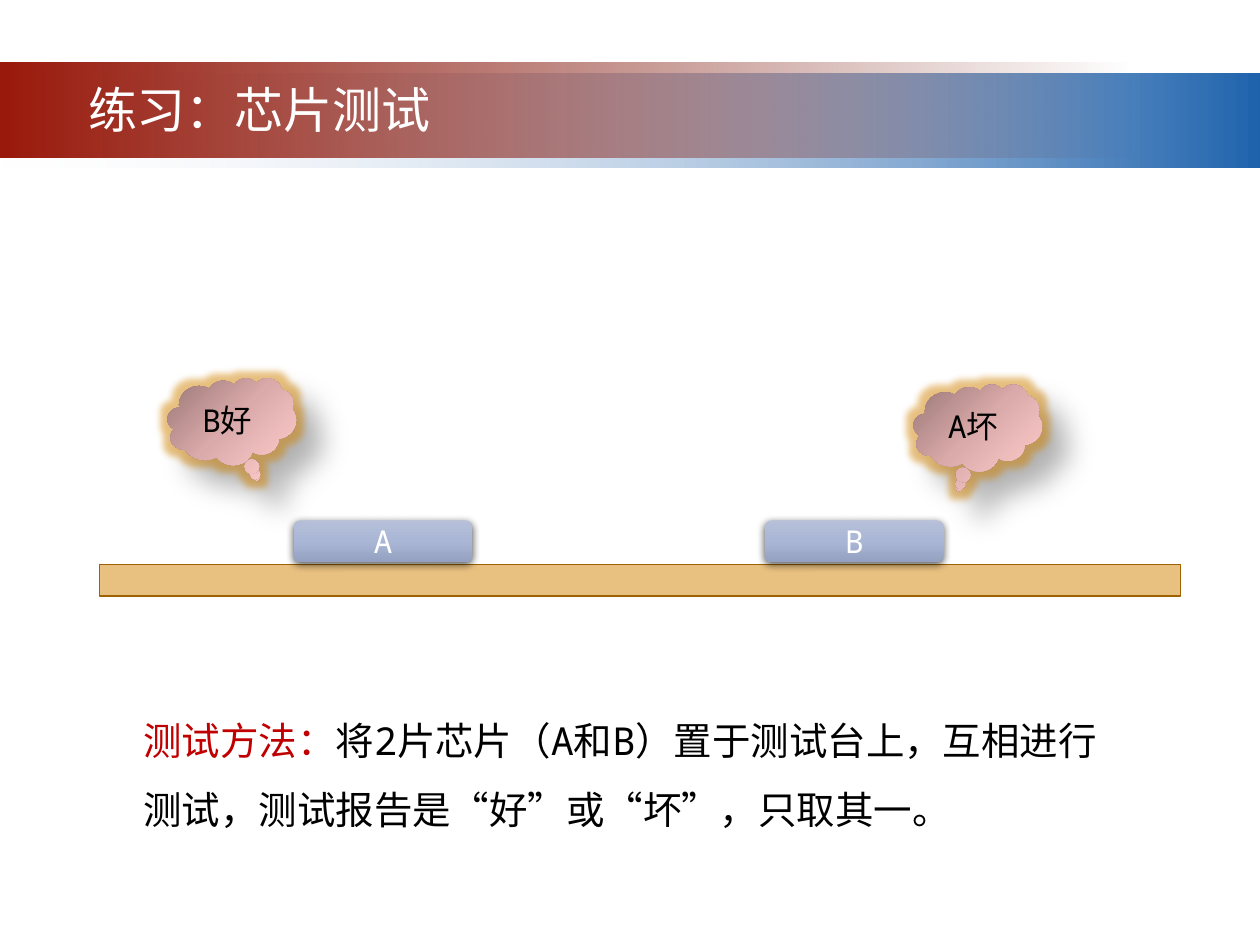
import pptx
import pptx.util
import pptx.oxml
import pptx.oxml.ns
import pptx.dml.color
import pptx.enum.shapes
import pptx.enum.text
from lxml import etree

Inches = pptx.util.Inches
Pt = pptx.util.Pt
RGB = pptx.dml.color.RGBColor.from_string
qn = pptx.oxml.ns.qn
SHAPE = pptx.enum.shapes.MSO_SHAPE

COLORS = {"white": "FFFFFF", "black": "000000", "red": "C00000",
          "bench": "D28302", "bench_line": "9E6201"}
BLUE_BAND = [(0, "F1F2F7", 0), (100, "1F63AD", 100)]
RED_BAND = [(0, "99190B", 100), (100, "6D1208", 0)]
CHIP = [(0, "B6C0D9", 100), (50, "A9B6D5", 100), (100, "94A1C0", 100)]
CLOUD = [(0, "997777", 100), (50, "DAA9A9", 100), (100, "FFCCCC", 100)]
CJK, MONO = "Noto Sans CJK SC", "Noto Sans Mono"


def add_gradient_shape(preset, box, stops, angle, glow=None, shadow=None):
    """Stops are (position, colour, opacity); shadow is (opacity, blur, distance, direction)."""
    shape = slide.shapes.add_shape(preset, *map(Inches, box))
    shape.shadow.inherit = False
    shape.line.fill.background()
    shape.fill.gradient()
    props = shape.fill._xPr

    def add_color(parent, color, opacity):
        node = etree.SubElement(parent, qn("a:srgbClr"), val=color)
        etree.SubElement(node, qn("a:alpha"), val=str(opacity * 1000))

    stop_list = props.find(".//" + qn("a:gsLst"))
    for old in list(stop_list):
        stop_list.remove(old)
    for position, color, opacity in stops:
        add_color(etree.SubElement(stop_list, qn("a:gs"), pos=str(position * 1000)), color, opacity)
    direction = props.find(".//" + qn("a:lin"))
    direction.set("ang", str(angle * 60000))
    direction.set("scaled", "0")

    effects = props.find(qn("a:effectLst"))
    if glow:
        radius, color, opacity = glow
        add_color(etree.SubElement(effects, qn("a:glow"), rad=str(Pt(radius))), color, opacity)
    if shadow:
        opacity, blur, distance, turn = shadow
        node = etree.SubElement(effects, qn("a:outerShdw"), blurRad=str(Pt(blur)),
                                dist=str(Pt(distance)), dir=str(turn * 60000),
                                algn="ctr", rotWithShape="0")
        add_color(node, COLORS["black"], opacity)
    return shape


def format_run(run, size, color, font=MONO):
    run.font.size = Pt(size)
    run.font.name = font
    run.font.color.rgb = RGB(COLORS[color])
    latin = run.font._element.find(qn("a:latin"))
    east_asian = etree.Element(qn("a:ea"), typeface=CJK)
    latin.addnext(east_asian)


prs = pptx.Presentation()
prs.slide_width, prs.slide_height = Inches(10), Inches(7.5)
slide = prs.slides.add_slide(prs.slide_layouts[6])

# Title band
add_gradient_shape(SHAPE.RECTANGLE, (0, 0.58, 10, 0.75), BLUE_BAND, 0)
add_gradient_shape(SHAPE.RECTANGLE, (0, 0.5, 9, 0.75), RED_BAND, 0)
title = slide.shapes.add_textbox(Inches(0.6), Inches(0.58), Inches(6.88), Inches(0.57)).text_frame
title.word_wrap = True
title.text = "练习：芯片测试"
format_run(title.paragraphs[0].runs[0], 28, "white", CJK)

# Test bench
bench = slide.shapes.add_shape(SHAPE.RECTANGLE, Inches(0.79), Inches(4.48), Inches(8.58), Inches(0.25))
bench.shadow.inherit = False
bench.fill.solid()
bench.fill.fore_color.rgb = RGB(COLORS["bench"])
bench_color = bench.fill._xPr.find(qn("a:solidFill")).find(qn("a:srgbClr"))
etree.SubElement(bench_color, qn("a:alpha"), val="50000")
bench.line.color.rgb = RGB(COLORS["bench_line"])
bench.line.width = Pt(0.75)

# Chips, then the report each one gives about the other
labelled = []
for label, left in (("A", 2.33), ("B", 6.07)):
    chip = add_gradient_shape(SHAPE.ROUNDED_RECTANGLE, (left, 4.13, 1.42, 0.33), CHIP, 90,
                              shadow=(63, 4.5, 1.5, 90))
    labelled.append((chip, label, "white"))

for report, left, top, tail in (("B好", 1.33, 3, (0.195, 0.65)),
                                ("A坏", 7.25, 3.05, (-0.146, 0.701))):
    cloud = add_gradient_shape(SHAPE.CLOUD_CALLOUT, (left, top, 1.02, 0.69), CLOUD, 45,
                               glow=(8, COLORS["bench"], 50), shadow=(30, 15, 18, 45))
    cloud.adjustments[0], cloud.adjustments[1] = tail
    labelled.append((cloud, report, "black"))

for shape, label, color in labelled:
    frame = shape.text_frame
    frame.word_wrap = False
    frame.margin_left = frame.margin_right = frame.margin_top = frame.margin_bottom = 0
    frame.vertical_anchor = pptx.enum.text.MSO_ANCHOR.MIDDLE
    frame.text = label
    frame.paragraphs[0].alignment = pptx.enum.text.PP_ALIGN.CENTER
    format_run(frame.paragraphs[0].runs[0], 18, color)

# Test method
method = slide.shapes.add_textbox(Inches(1.04), Inches(5.46), Inches(7.92), Inches(1.15)).text_frame
method.word_wrap = True
paragraph = method.paragraphs[0]
paragraph.line_spacing = 1.5
for text, color in (("测试方法：", "red"),
                    ("将2片芯片（A和B）置于测试台上，互相进行测试，测试报告是“好”或“坏”，只取其一。", "black")):
    run = paragraph.add_run()
    run.text = text
    format_run(run, 22, color)

prs.save("out.pptx")
